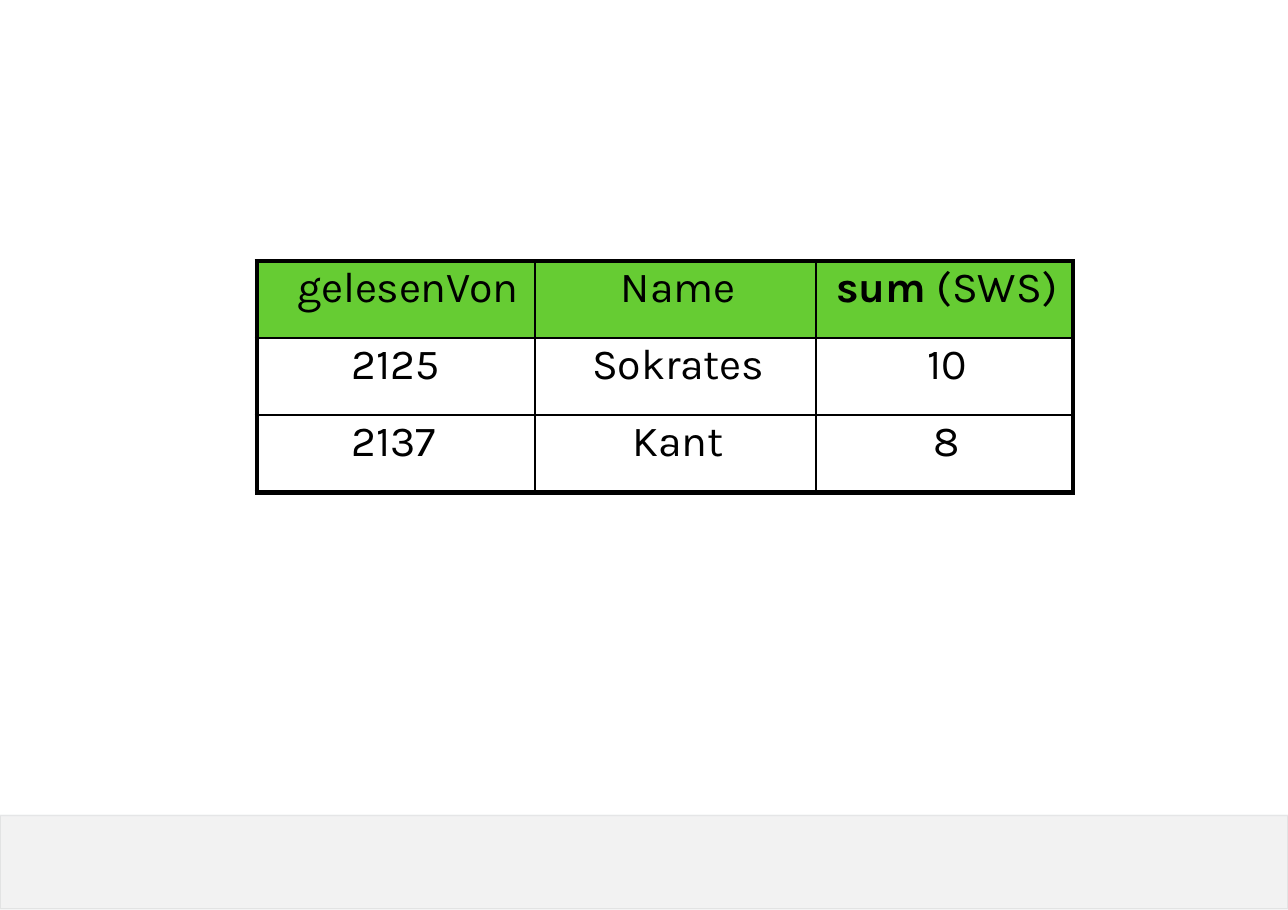
"""Build a slide with a query result table of lecturers and their teaching hours."""
from lxml.etree import SubElement
from pptx import Presentation
from pptx.dml.color import RGBColor
from pptx.enum.shapes import MSO_SHAPE
from pptx.enum.text import PP_ALIGN
from pptx.oxml.ns import qn
from pptx.util import Inches, Pt

COLORS = {
    "text": "000000",
    "border": "000000",
    "header": "66CC33",
    "footer": "F2F2F2",
    "footer_line": "889194",
}


def add_text(paragraph, text, bold=False, size=28, font="Karla", color="text", spacing=0):
    run = paragraph.add_run()
    run.text = text
    run.font.name = font
    run.font.size = Pt(size)
    run.font.bold = bold
    run.font.color.rgb = RGBColor.from_string(COLORS[color])
    run.font._element.set("spc", str(round(spacing * 100)))


def add_border(cell, side, width):
    properties = cell._tc.get_or_add_tcPr()
    line = SubElement(properties, qn(f"a:ln{side}"), w=str(Pt(width)))
    fill = SubElement(line, qn("a:solidFill"))
    SubElement(fill, qn("a:srgbClr"), val=COLORS["border"])
    SubElement(line, qn("a:prstDash"), val="solid")


presentation = Presentation()
presentation.slide_width = Inches(11.69)
presentation.slide_height = Inches(8.26)
slide = presentation.slides.add_slide(presentation.slide_layouts[6])

footer = slide.shapes.add_shape(
    MSO_SHAPE.RECTANGLE, Inches(0), Inches(7.4), Inches(11.69), Inches(0.85)
)
footer.shadow.inherit = False
footer.fill.solid()
footer.fill.fore_color.rgb = RGBColor.from_string(COLORS["footer"])
footer.line.width = Pt(1)
footer.line.color.rgb = RGBColor.from_string(COLORS["footer_line"])
line_color = footer.line._ln.find(".//" + qn("a:srgbClr"))
SubElement(line_color, qn("a:alpha"), val="15000")

rows = [
    [[("gelesenVon", False, -0.1)], [("Name", False, -0.1)],
     [("sum ", True, -0.1), ("(SWS)", False, 0)]],
    [[("2125", False, 0)], [("Sokrates", False, -0.1)], [("10", False, 0)]],
    [[("2137", False, 0)], [("Kant", False, -0.2)], [("8", False, 0)]],
]
column_widths = [2.53, 2.55, 2.33]
row_height = 0.7
last_row, last_column = len(rows) - 1, len(column_widths) - 1

table_frame = slide.shapes.add_table(
    len(rows), len(column_widths), Inches(2.33), Inches(2.37),
    Inches(sum(column_widths)), Inches(row_height * len(rows)),
)
table = table_frame.table
table.first_row = False
table.horz_banding = False
for column, width in zip(table.columns, column_widths):
    column.width = Inches(width)

for row_index, row in enumerate(rows):
    table.rows[row_index].height = Inches(row_height)
    for column_index, runs in enumerate(row):
        cell = table.cell(row_index, column_index)
        cell.margin_left = cell.margin_right = cell.margin_bottom = 0
        cell.margin_top = Inches(0.02)

        outer_sides = {
            "L": column_index == 0,
            "R": column_index == last_column,
            "T": row_index == 0,
            "B": row_index == last_row,
        }
        for side, is_outer in outer_sides.items():
            add_border(cell, side, 3 if is_outer else 1.5)
        if row_index == 0:
            cell.fill.solid()
            cell.fill.fore_color.rgb = RGBColor.from_string(COLORS["header"])
        else:
            cell.fill.background()

        paragraph = cell.text_frame.paragraphs[0]
        if column_index == 0:
            paragraph.alignment = PP_ALIGN.LEFT
            indent = 0.37 if row_index == 0 else 0.86
        else:
            paragraph.alignment = PP_ALIGN.CENTER
            indent = 0.04
        paragraph._p.get_or_add_pPr().set("marL", str(Inches(indent)))
        for text, bold, spacing in runs:
            add_text(paragraph, text, bold=bold, spacing=spacing)

presentation.save("out.pptx")
